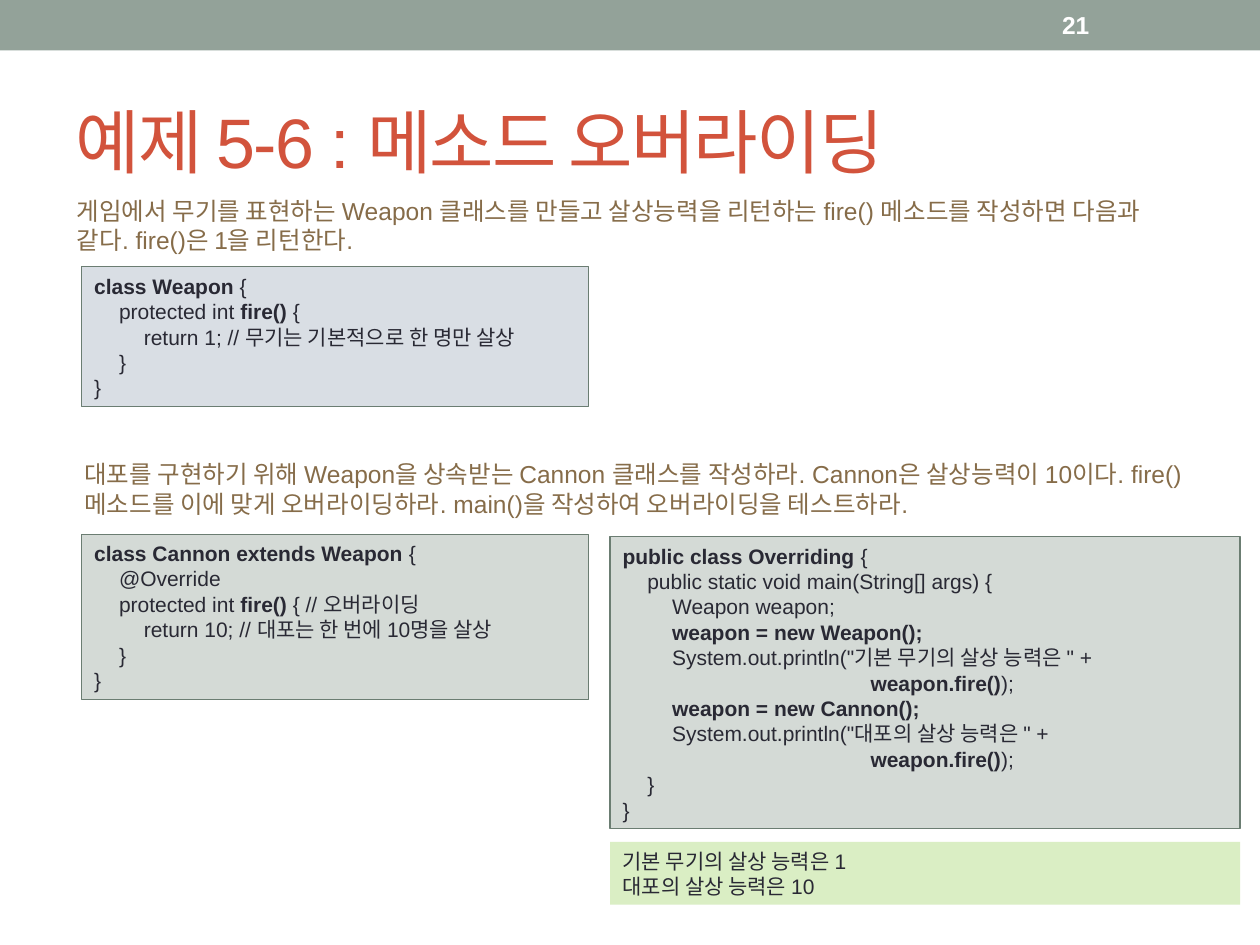
from lxml import etree
from pptx import Presentation
from pptx import util as u
from pptx.dml import color
from pptx.enum import shapes, text
from pptx.oxml import ns

INK = "292934"
BROWN = "866C49"
SAGE = "D4DAD6"
EDGE = "6B7D72"

WEAPON = """**class Weapon **{
\tprotected int **fire() **{
\t\treturn 1; // 무기는 기본적으로 한 명만 살상
\t}
}"""

CANNON = """**class Cannon extends Weapon **{
\t@Override
\tprotected int **fire() **{ // 오버라이딩
\t\treturn 10; // 대포는 한 번에 10명을 살상
\t}
}"""

FIRE = "\t" * 10 + "**weapon.fire()**);"
MAIN = f"""**public class Overriding **{{
\tpublic static void main(String[] args) {{
\t\tWeapon weapon;
\t\t**weapon = new Weapon();**
\t\tSystem.out.println("기본 무기의 살상 능력은 " +
{FIRE}
\t\t**weapon = new Cannon();**
\t\tSystem.out.println("대포의 살상 능력은 " +
{FIRE}
\t}}
}}"""

RESULT = "기본 무기의 살상 능력은 1\n대포의 살상 능력은 10"

TASK = ("게임에서 무기를 표현하는 Weapon 클래스를 만들고 살상능력을 리턴하는 fire() 메소드를 "
        "작성하면 다음과 같다. fire()은 1을 리턴한다.")
QUEST = ("대포를 구현하기 위해 Weapon을 상속받는 Cannon 클래스를 작성하라. Cannon은 살상능력이 10이다. "
         "fire() 메소드를 이에 맞게 오버라이딩하라. main()을 작성하여 오버라이딩을 테스트하라.")


def rgb(code):
    return color.RGBColor.from_string(code)


def place(*sides):
    return [u.Cm(side) for side in sides]


def add_run(para, words, size, tint, bold=False):
    run = para.add_run()
    run.text = words
    font = run.font
    font.name, font.size, font.bold = "Arial", u.Pt(size), bold
    font.color.rgb = rgb(tint)
    return run


def add_tabs(para, count):
    stops = etree.SubElement(para._p.get_or_add_pPr(), ns.qn("a:tabLst"))
    for step in range(1, count + 1):
        stop = etree.SubElement(stops, ns.qn("a:tab"))
        stop.set("pos", str(u.Cm(0.5 * step)))
        stop.set("algn", "l")


def fill_text(frame, words, size, tint, pitch=None, anchor=text.MSO_ANCHOR.TOP):
    frame.word_wrap = True
    frame.vertical_anchor = anchor
    for row, line in enumerate(words.split("\n")):
        para = frame.add_paragraph() if row else frame.paragraphs[0]
        para.alignment = text.PP_ALIGN.LEFT
        if pitch:
            para.line_spacing = u.Pt(pitch)
        if "\t" in line:
            add_tabs(para, line.count("\t"))
        for part, piece in enumerate(line.split("**")):
            if piece:
                add_run(para, piece, size, tint, part % 2 == 1)


def add_title(slide, words):
    title = slide.shapes.title
    title.left, title.top, title.width, title.height = place(1.27, 1.47, 22.86, 2.74)
    frame = title.text_frame
    frame.auto_size = text.MSO_AUTO_SIZE.NONE
    fill_text(frame, words, 40, "D2533C", anchor=text.MSO_ANCHOR.MIDDLE)
    for run in frame.paragraphs[0].runs:
        run.font._element.set("spc", "-100")


def add_rect(slide, box, fill, edge=None):
    rect = slide.shapes.add_shape(shapes.MSO_SHAPE.RECTANGLE, *place(*box))
    rect.shadow.inherit = False
    rect.fill.solid()
    rect.fill.fore_color.rgb = rgb(fill)
    if edge:
        rect.line.color.rgb = rgb(edge)
        rect.line.width = u.Pt(0.75)
    else:
        rect.line.fill.background()
    return rect


def add_code(slide, box, words, fill, edge=None):
    rect = add_rect(slide, box, fill, edge)
    fill_text(rect.text_frame, words, 12, INK, 14.5)


def add_note(slide, box, words):
    note = slide.shapes.add_textbox(*place(*box))
    fill_text(note.text_frame, words, 14, BROWN, 17)


def add_page(slide, number):
    page = slide.shapes.add_textbox(*place(21.16, 0.05, 2.97, 0.91))
    fill_text(page.text_frame, f"**{number}**", 14, "FFFFFF",
              anchor=text.MSO_ANCHOR.MIDDLE)


def main():
    deck = Presentation()
    deck.slide_width, deck.slide_height = place(25.4, 19.05)
    slide = deck.slides.add_slide(deck.slide_layouts[5])
    add_rect(slide, (0, 0, 25.4, 1.02), "93A299")
    add_title(slide, "예제 5-6 : 메소드 오버라이딩")
    add_page(slide, 21)
    add_note(slide, (1.3, 3.81, 22.81, 1.45), TASK)
    add_code(slide, (12.3, 16.97, 12.7, 1.27), RESULT, "DAEEC4")
    add_code(slide, (1.65, 5.38, 10.22, 2.82), WEAPON, "D9DEE4", EDGE)
    add_note(slide, (1.45, 9.12, 22.89, 1.45), QUEST)
    add_code(slide, (1.65, 10.77, 10.22, 3.33), CANNON, SAGE, EDGE)
    add_code(slide, (12.3, 10.82, 12.7, 5.89), MAIN, SAGE, EDGE)
    deck.save("out.pptx")


if __name__ == "__main__":
    main()
